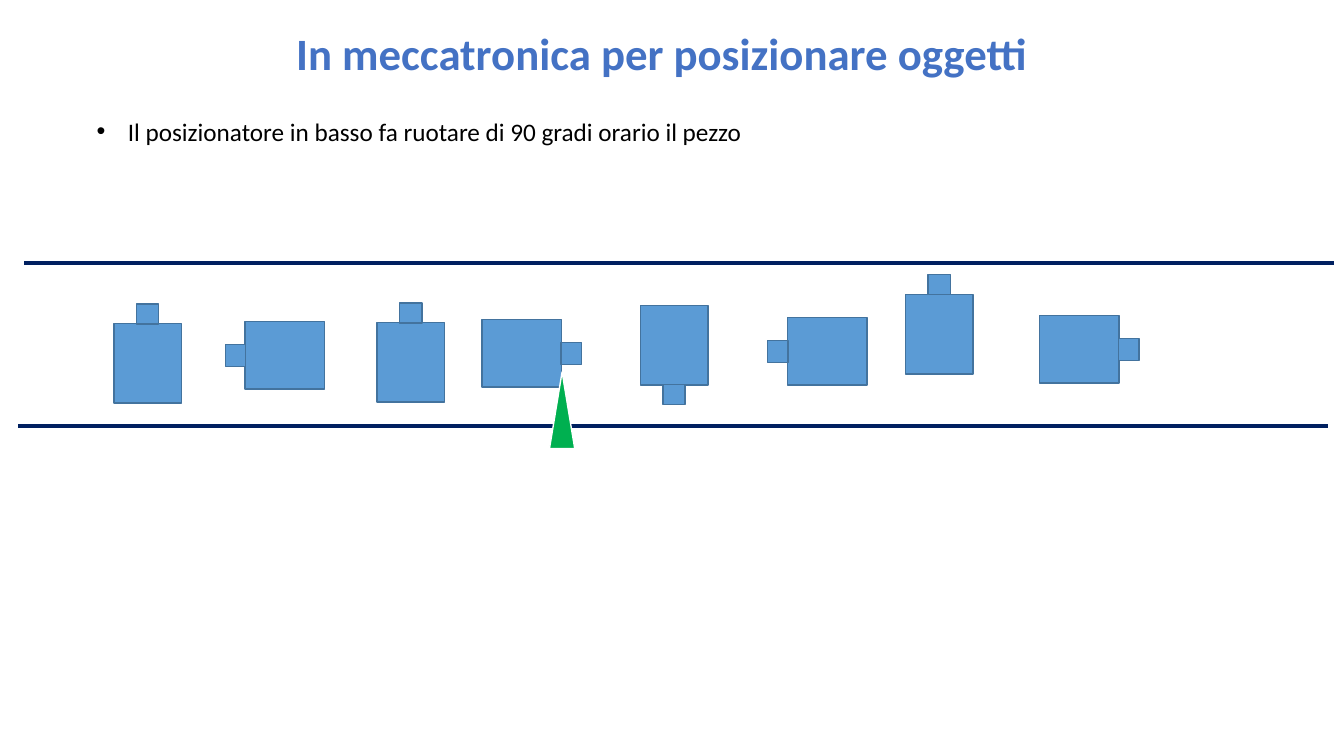
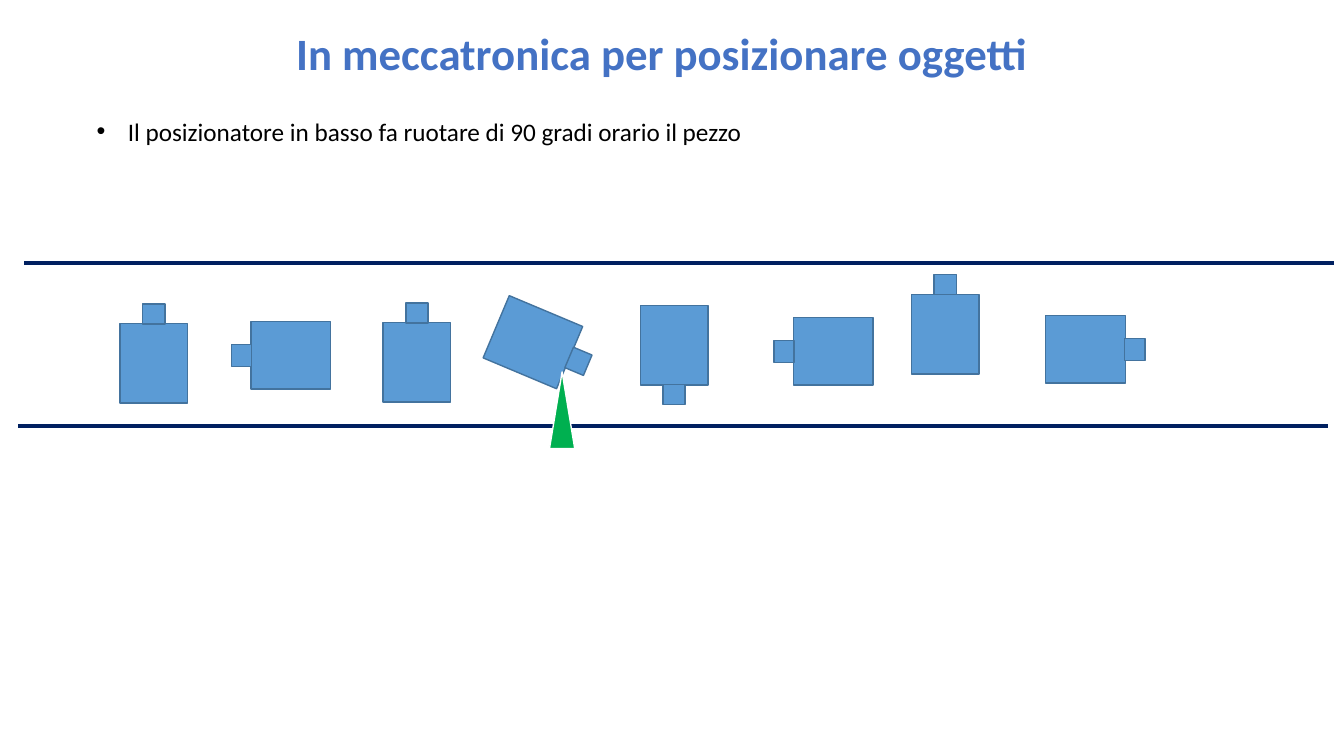
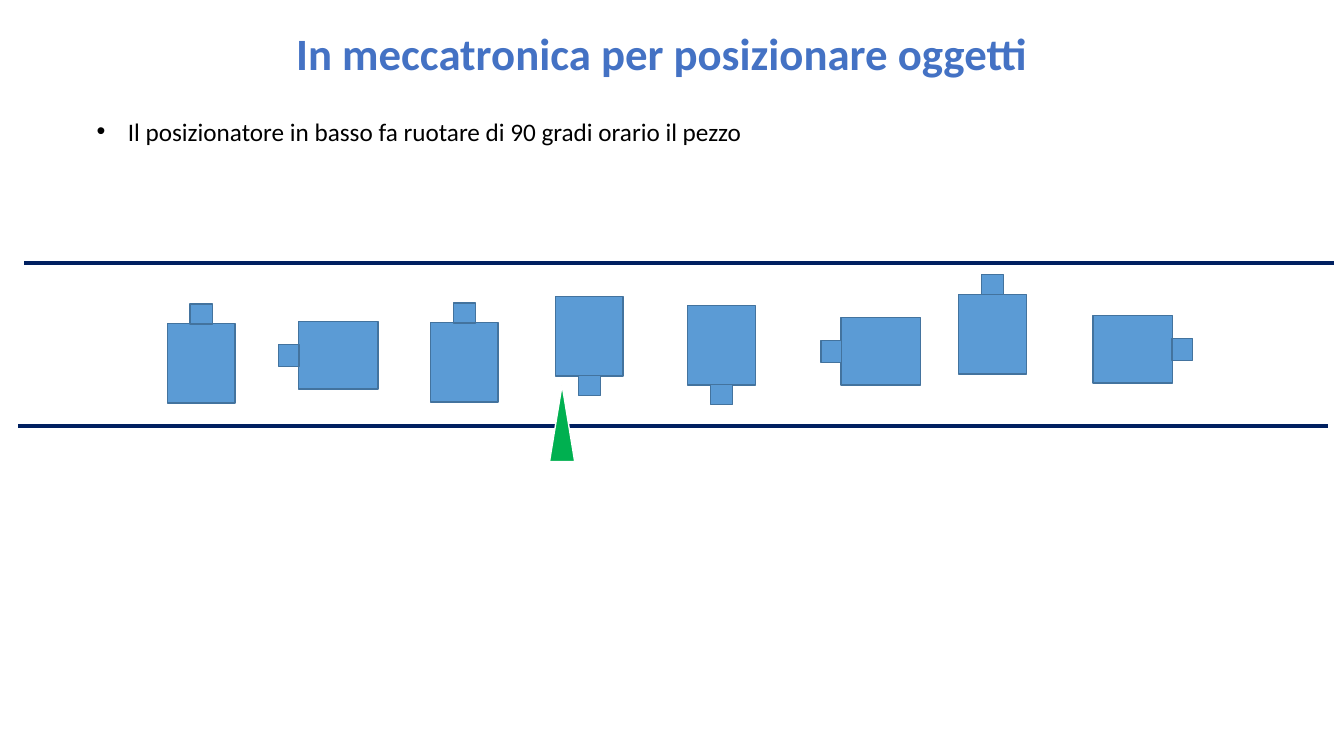
"""Build three steps of a conveyor where a wedge turns a piece."""
from dataclasses import dataclass
from math import cos, radians, sin

from lxml.etree import SubElement
from pptx import Presentation
from pptx.dml.color import RGBColor
from pptx.enum.shapes import MSO_CONNECTOR as Link, MSO_SHAPE as Kind
from pptx.enum.text import MSO_ANCHOR as Anchor, MSO_AUTO_SIZE as Fit, PP_ALIGN as Align
from pptx.oxml.ns import qn
from pptx.util import Inches, Pt

HUES = {
    "title": "4472C4", "text": "000000", "piece": "5B9BD5", "edge": "43739E",
    "belt": "002060", "wedge": "00B050", "white": "FFFFFF",
}
FONT = "Calibri"
TITLE = "In meccatronica per posizionare oggetti"
NOTE = "Il posizionatore in basso fa ruotare di 90 gradi orario il pezzo"
BODY = (0.67, 0.79)
TAB = (0.22, 0.2)
REACH = 0.49
RAILS = [(0.24, 2.61), (0.18, 4.23)]
RAIL_LEN = 12.99


@dataclass
class Piece:
    left: float
    top: float
    turn: float = 0


@dataclass
class Step:
    shift: float
    turned: Piece
    next_x: float
    wedge_y: float


QUEUE = [
    Piece(1.13, 3.21), Piece(2.49, 3.13, 270), Piece(3.74, 3.2),
    Piece(7.87, 3.09, 270), Piece(8.98, 2.92), Piece(10.37, 3.07, 90),
]
STEPS = [
    Step(0, Piece(4.84, 3.11, 90), 6.35, 3.69),
    Step(0.06, Piece(4.95, 3, 112.8), 6.35, 3.69),
    Step(0.53, Piece(5.51, 2.94, 180), 6.82, 3.82),
]


def hue(name: str) -> RGBColor:
    return RGBColor.from_string(HUES[name])


def place(shape, left: float, top: float, width: float, height: float) -> None:
    shape.left, shape.top = Inches(left), Inches(top)
    shape.width, shape.height = Inches(width), Inches(height)


def add_run(para, text: str, size: float, color: str, bold: bool = False, rim: str = "") -> None:
    run = para.add_run()
    run.text = text
    if rim:
        line = SubElement(run.font._element, qn("a:ln"), w=str(Pt(0.75)))
        fill = SubElement(line, qn("a:solidFill"))
        SubElement(fill, qn("a:srgbClr"), val=HUES[rim])
    font = run.font
    font.name, font.size, font.bold = FONT, Pt(size), bold
    font.color.rgb = hue(color)


def add_title(slide) -> None:
    title = slide.shapes.title
    place(title, 2.8, 0.2, 7.53, 0.64)
    frame = title.text_frame
    frame.word_wrap = False
    frame.auto_size = Fit.SHAPE_TO_FIT_TEXT
    frame.vertical_anchor = Anchor.TOP
    para = frame.paragraphs[0]
    para.alignment = Align.CENTER
    add_run(para, TITLE, 32, "title", True, "white")


def add_note(slide) -> None:
    box = slide.shapes.add_textbox(Inches(0.86), Inches(1.1), Inches(11.26), Inches(0.4))
    frame = box.text_frame
    frame.word_wrap = True
    frame.auto_size = Fit.SHAPE_TO_FIT_TEXT
    para = frame.paragraphs[0]
    props = para._p.get_or_add_pPr()
    props.set("marL", str(Inches(0.31)))
    props.set("indent", str(-Inches(0.31)))
    SubElement(props, qn("a:buFont"), typeface="Arial")
    SubElement(props, qn("a:buChar"), char="•")
    add_run(para, NOTE, 18, "text")


def add_form(shapes, kind: Kind, box: tuple[float, ...], fill: str, edge: str, turn: float = 0) -> None:
    form = shapes.add_shape(kind, *map(Inches, box))
    form.rotation = turn
    form.shadow.inherit = False
    form.fill.solid()
    form.fill.fore_color.rgb = hue(fill)
    form.line.color.rgb = hue(edge)
    form.line.width = Pt(1)


def add_piece(slide, piece: Piece, shift: float = 0) -> None:
    group = slide.shapes.add_group_shape()
    mid_x = piece.left + shift + BODY[0] / 2
    mid_y = piece.top + BODY[1] / 2
    angle = radians(piece.turn)
    for (width, height), reach in ((BODY, 0), (TAB, REACH)):
        left = mid_x + reach * sin(angle) - width / 2
        top = mid_y - reach * cos(angle) - height / 2
        add_form(group.shapes, Kind.RECTANGLE, (left, top, width, height), "piece", "edge", piece.turn)


def add_rail(slide, left: float, top: float) -> None:
    rail = slide.shapes.add_connector(
        Link.STRAIGHT, Inches(left), Inches(top), Inches(left + RAIL_LEN), Inches(top))
    rail.line.color.rgb = hue("belt")
    rail.line.width = Pt(3)
    SubElement(rail._element.spPr, qn("a:effectLst"))


def add_step(deck, step: Step) -> None:
    slide = deck.slides.add_slide(deck.slide_layouts[5])
    add_title(slide)
    for left, top in RAILS:
        add_rail(slide, left, top)
    for piece in QUEUE:
        add_piece(slide, piece, step.shift)
    add_piece(slide, step.turned)
    add_piece(slide, Piece(step.next_x, 3.03, 180))
    add_form(slide.shapes, Kind.ISOSCELES_TRIANGLE, (5.45, step.wedge_y, 0.25, 0.76), "wedge", "white")
    add_note(slide)


def main() -> None:
    deck = Presentation()
    deck.slide_width, deck.slide_height = Inches(13.33), Inches(7.5)
    for step in STEPS:
        add_step(deck, step)
    deck.save("out.pptx")


if __name__ == "__main__":
    main()
